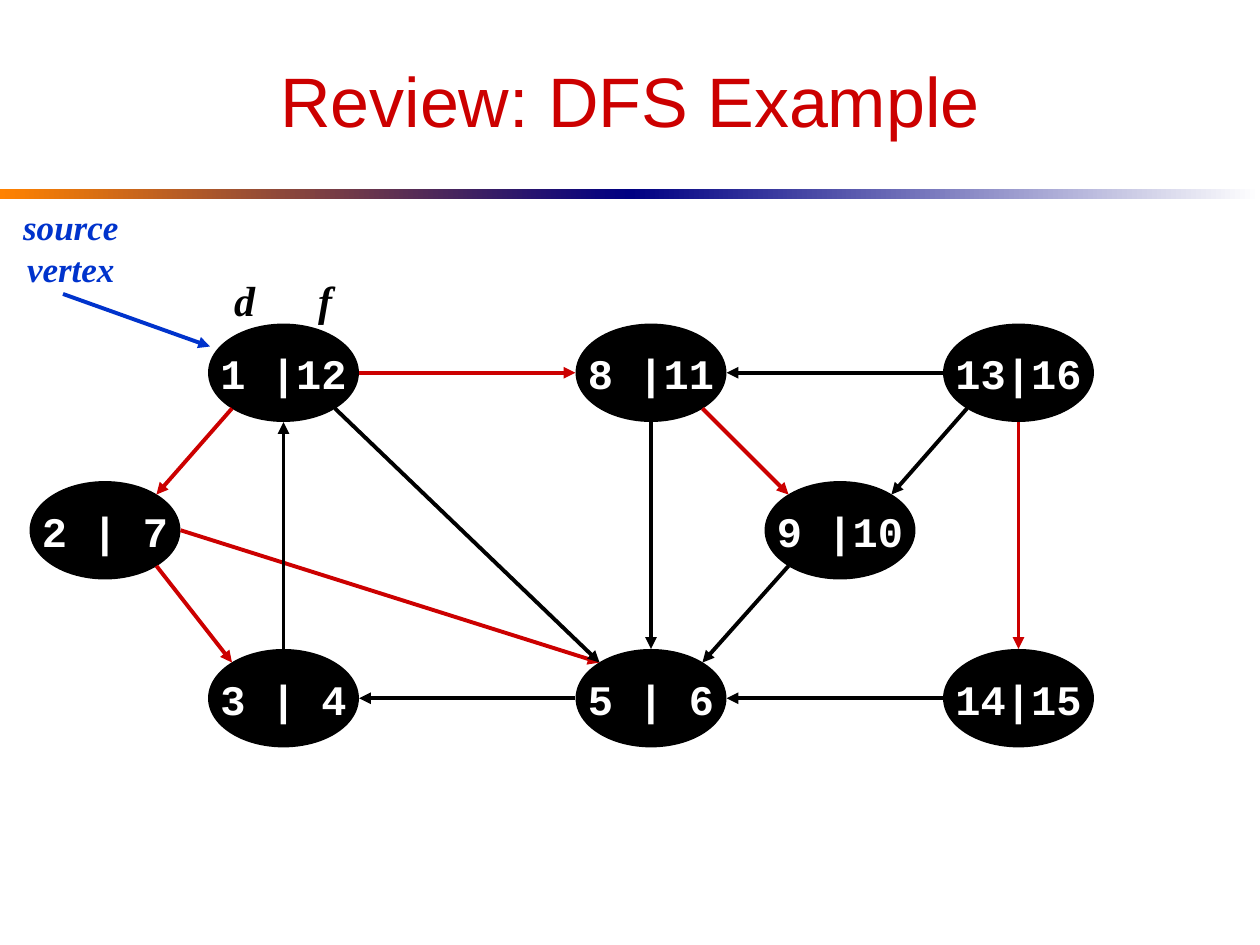
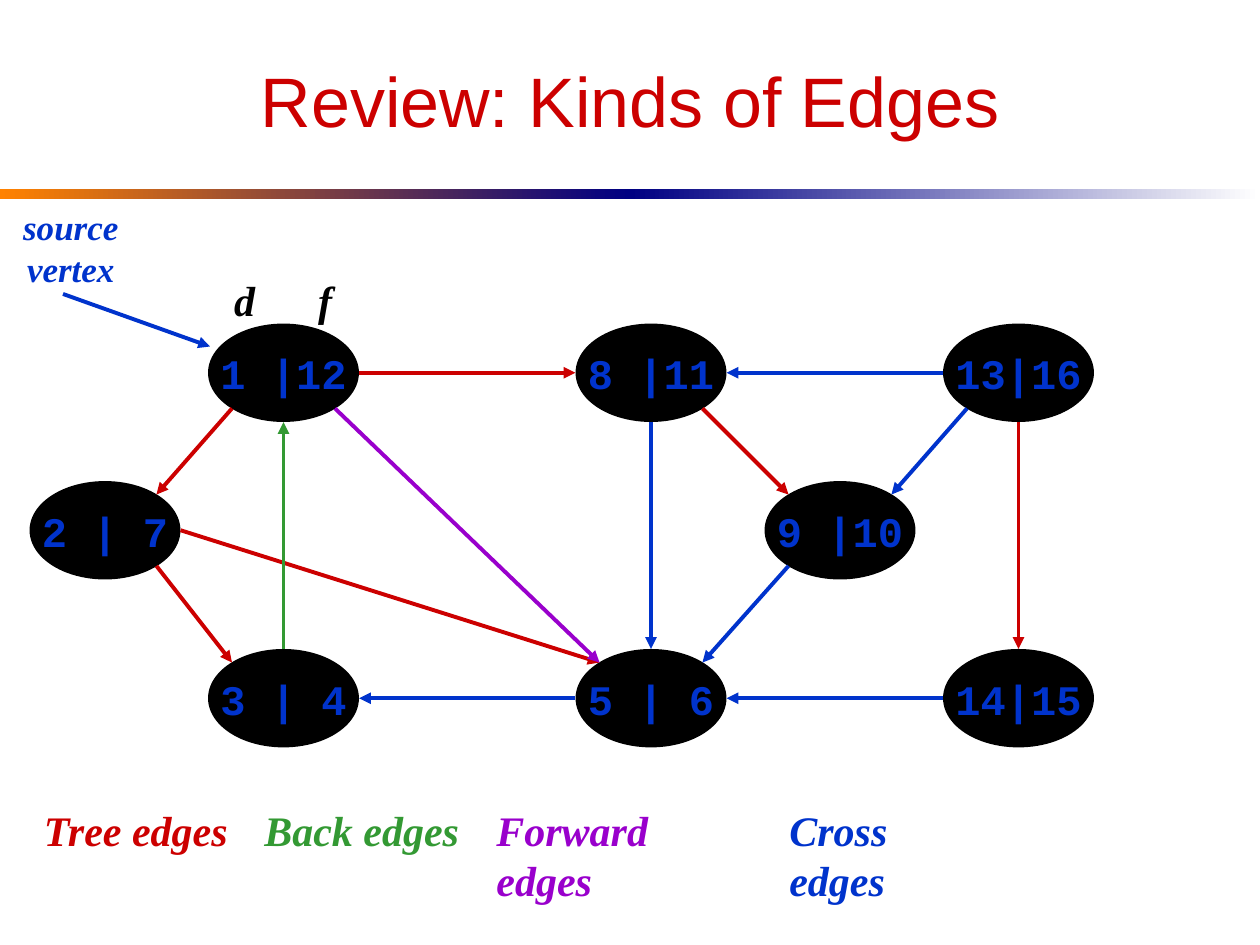
from lxml import etree
from pptx import Presentation
from pptx import util as u
from pptx.dml.color import RGBColor
from pptx.enum import shapes, text
from pptx.oxml.ns import qn

PX = 7620  # 120 px to the inch
WIDTH, HEIGHT = 1200, 900
RED, BLUE, GREEN, PURPLE = "CC0000", "0033CC", "339933", "9900CC"
BLACK, WHITE, NAVY, ORANGE = "000000", "FFFFFF", "000082", "FF8200"
SANS, MONO, SERIF = "Arial", "Courier New", "Times New Roman"

# Vertices: centre x, centre y, discovery and finish times
NODE_W, NODE_H = 140, 90
NODES = {
    "a": (270, 355, "1 |12"), "b": (620, 355, "8 |11"), "c": (970, 355, "13|16"),
    "h": (970, 665, "14|15"), "g": (620, 665, "5 | 6"), "f": (270, 665, "3 | 4"),
    "d": (100, 505, "2 | 7"), "e": (800, 505, "9 |10"),
}
# Points on a vertex outline, as offsets from its centre
SITES = {
    "N": (0, -47), "S": (0, 47), "W": (-72, 0), "E": (72, 0),
    "NW": (-49, -34), "NE": (49, -34), "SW": (-49, 34), "SE": (49, 34),
}
# Edges: start vertex and site, end vertex and site, kind
EDGES = [
    ("a", "SW", "d", "NE", "tree"), ("d", "SE", "f", "NW", "tree"),
    ("d", "E", "g", "NW", "tree"), ("g", "W", "f", "E", "cross"),
    ("f", "N", "a", "S", "back"), ("a", "SE", "g", "NW", "forward"),
    ("b", "S", "g", "N", "cross"), ("a", "E", "b", "W", "tree"),
    ("c", "W", "b", "E", "cross"), ("b", "SE", "e", "NW", "tree"),
    ("c", "SW", "e", "NE", "cross"), ("c", "S", "h", "N", "tree"),
    ("h", "W", "g", "E", "cross"), ("e", "SW", "g", "NE", "cross"),
]
PLAIN_KINDS = {"tree": RED, "back": BLACK, "forward": BLACK, "cross": BLACK}
EDGE_KINDS = {"tree": RED, "back": GREEN, "forward": PURPLE, "cross": BLUE}
LEGEND = [("Tree edges", "tree", 200), ("Back edges", "back", 211),
          ("Forward edges", "forward", 269), ("Cross edges", "cross", 218)]


def px(*lengths):
    return [u.Emu(n * PX) for n in lengths]


def rgb(color):
    return RGBColor.from_string(color)


def style(p, font, size, color, bold=False, italic=False, align="CENTER"):
    p.alignment = getattr(text.PP_ALIGN, align)
    p.font.name, p.font.size = font, u.Pt(size)
    p.font.color.rgb = rgb(color)
    p.font.bold, p.font.italic = bold, italic


def add_band(s, x, left, right):
    sp = s.shapes.add_shape(shapes.MSO_SHAPE.RECTANGLE, *px(x, 180, WIDTH // 2, 10))
    sp.shadow.inherit = False
    sp.line.fill.background()
    sp.fill.gradient()
    sp.fill.gradient_angle = 0
    for stop, color in zip(sp.fill.gradient_stops, (left, right)):
        stop.color.rgb = rgb(color)


def add_slide(prs, title):
    s = prs.slides.add_slide(prs.slide_layouts[5])
    add_band(s, 0, ORANGE, NAVY)
    add_band(s, WIDTH // 2, NAVY, WHITE)
    sp = s.shapes.title
    sp.left, sp.top, sp.width, sp.height = px(60, 30, 1080, 130)
    tf = sp.text_frame
    tf.text = title
    tf.vertical_anchor = text.MSO_ANCHOR.MIDDLE
    style(tf.paragraphs[0], SANS, 40, RED)
    return s


def add_node(s, cx, cy, label, color):
    sp = s.shapes.add_shape(shapes.MSO_SHAPE.OVAL,
                            *px(cx - NODE_W // 2, cy - NODE_H // 2, NODE_W, NODE_H))
    sp.shadow.inherit = False
    sp.fill.solid()
    sp.fill.fore_color.rgb = sp.line.color.rgb = rgb(BLACK)
    sp.line.width = u.Pt(2.25)
    tf = sp.text_frame
    tf.word_wrap = False
    tf.vertical_anchor = text.MSO_ANCHOR.MIDDLE
    p = tf.paragraphs[0]
    p.text = label
    style(p, MONO, 24, color, bold=True)


def add_arrow(s, start, end, color):
    cn = s.shapes.add_connector(shapes.MSO_CONNECTOR.STRAIGHT, *px(*start, *end))
    cn.line.color.rgb = rgb(color)
    cn.line.width = u.Pt(2.25)
    etree.SubElement(cn.line._get_or_add_ln(), qn("a:tailEnd"), type="triangle")
    etree.SubElement(cn._element.spPr, qn("a:effectLst"))


def add_label(s, box, words, size, color, align="LEFT"):
    tf = s.shapes.add_textbox(*px(*box)).text_frame
    tf.word_wrap = False
    p = tf.paragraphs[0]
    p.text = words
    style(p, SERIF, size, color, bold=True, italic=True, align=align)
    return tf


def add_time_heading(s):
    # The tab stop puts f above the finish time
    tf = s.shapes.add_textbox(*px(200, 240, NODE_W, NODE_H)).text_frame
    tf.word_wrap = True
    tf.vertical_anchor = text.MSO_ANCHOR.MIDDLE
    tf.margin_left, tf.margin_right = px(23, 0)
    p = tf.paragraphs[0]
    p.text = "d\tf"
    tabs = etree.SubElement(p._p.get_or_add_pPr(), qn("a:tabLst"))
    etree.SubElement(tabs, qn("a:tab"), pos=str(80 * PX), algn="l")
    style(p, SERIF, 24, BLACK, bold=True, italic=True, align="LEFT")


def add_graph(s, label_color, kinds):
    for cx, cy, label in NODES.values():
        add_node(s, cx, cy, label, label_color)
    for tail, tail_site, head, head_site, kind in EDGES:
        start, end = [(NODES[n][0] + SITES[site][0], NODES[n][1] + SITES[site][1])
                      for n, site in ((tail, tail_site), (head, head_site))]
        add_arrow(s, start, end, kinds[kind])
    # Source marker and time headings
    add_arrow(s, (60, 280), (200, 330), BLUE)
    tf = add_label(s, (10, 190, 115, 92), "source\vvertex", 20, BLUE, "CENTER")
    tf.paragraphs[0].line_spacing = u.Pt(24)
    add_time_heading(s)


def add_legend(s):
    x = 30
    for words, kind, width in LEGEND:
        add_label(s, (x, 760, width, 60), words, 24, EDGE_KINDS[kind])
        x += width + 10


def main():
    prs = Presentation()
    prs.slide_width, prs.slide_height = px(WIDTH, HEIGHT)

    # Finished search
    add_graph(add_slide(prs, "Review: DFS Example"), WHITE, PLAIN_KINDS)

    # Edges coloured by kind
    s = add_slide(prs, "Review: Kinds of Edges")
    add_graph(s, BLUE, EDGE_KINDS)
    add_legend(s)

    prs.save("out.pptx")


if __name__ == "__main__":
    main()
